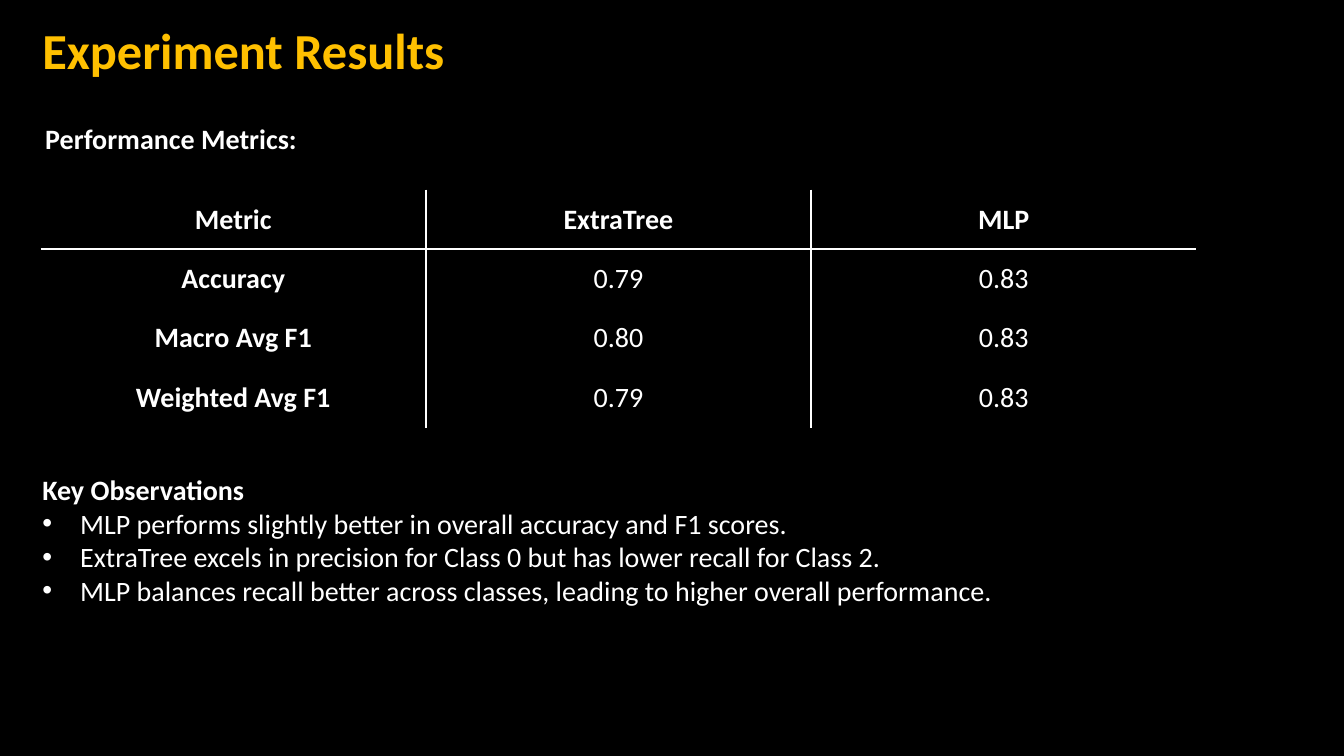
from lxml.etree import SubElement
from pptx import Presentation
from pptx.dml.color import RGBColor
from pptx.enum.text import MSO_ANCHOR as Anchor, MSO_AUTO_SIZE as AutoSize, PP_ALIGN as Align
from pptx.oxml.ns import qn
from pptx.util import Pt

BLACK, WHITE, GOLD = "000000", "FFFFFF", "FFC000"
METRICS = [
    ["Metric", "ExtraTree", "MLP"],
    ["Accuracy", "0.79", "0.83"],
    ["Macro Avg F1", "0.80", "0.83"],
    ["Weighted Avg F1", "0.79", "0.83"],
]
OBSERVATIONS = [
    "MLP performs slightly better in overall accuracy and F1 scores.",
    "ExtraTree excels in precision for Class 0 but has lower recall for Class 2.",
    "MLP balances recall better across classes, leading to higher overall performance.",
]


def color(hex_value):
    """Turn a hex string into a color."""
    return RGBColor.from_string(hex_value)


def apply(target, values):
    """Set every attribute in a dict of format values."""
    for name, value in values.items():
        setattr(target, name, value)


def place(shape, box):
    """Move a shape to a box of left, top, width and height in points."""
    apply(shape, dict(zip(("left", "top", "width", "height"), map(Pt, box))))


def write(para, text, size=20, bold=True, fill=WHITE, align=Align.LEFT):
    """Write one formatted span into a paragraph."""
    apply(para, {"alignment": align, "space_before": Pt(0), "space_after": Pt(0)})
    span = para.add_run()
    span.text = text
    apply(span.font, {"name": "Calibri", "size": Pt(size), "bold": bold})
    span.font.color.rgb = color(fill)


def set_bullet(para, indent=0):
    """Give a paragraph a hanging bullet, or none when the indent is zero."""
    props = para._p.get_or_add_pPr()
    props.set("marL", str(Pt(indent)))
    props.set("indent", str(-Pt(indent)))
    if indent:
        SubElement(props, qn("a:buFont"), typeface="Arial")
        SubElement(props, qn("a:buChar"), char="•")
    else:
        SubElement(props, qn("a:buNone"))


def set_borders(cell, visible):
    """Draw the visible edges of a cell and clear the others."""
    props = cell._tc.get_or_add_tcPr()
    for edge in "LRTB":
        line = SubElement(props, qn(f"a:ln{edge}"), w=str(Pt(1.5)))
        if edge in visible:
            paint = SubElement(line, qn("a:solidFill"))
            SubElement(paint, qn("a:srgbClr"), val=WHITE)
        else:
            SubElement(line, qn("a:noFill"))


def add_title(page, box):
    """Fill the title placeholder."""
    title = page.shapes.title
    place(title, box)
    apply(title.text_frame, {"vertical_anchor": Anchor.MIDDLE, "auto_size": AutoSize.NONE})
    write(title.text_frame.paragraphs[0], "Experiment Results", 36, fill=GOLD)


def add_subtitle(page, box):
    """Add the label above the table."""
    label = page.shapes.add_textbox(*map(Pt, box))
    label.text_frame.word_wrap = True
    write(label.text_frame.paragraphs[0], "Performance Metrics:")


def add_metrics(page, box):
    """Add the table with rules between columns and below the header."""
    rows, columns = len(METRICS), len(METRICS[0])
    table = page.shapes.add_table(rows, columns, *map(Pt, box)).table
    apply(table, {"first_row": False, "horz_banding": False})
    margins = dict.fromkeys(("margin_left", "margin_right", "margin_top", "margin_bottom"), 0)
    for r, values in enumerate(METRICS):
        for c, value in enumerate(values):
            cell = table.cell(r, c)
            apply(cell, {"vertical_anchor": Anchor.MIDDLE, **margins})
            edges = {"L": c > 0, "R": c < columns - 1, "T": r == 1, "B": r == 0}
            set_borders(cell, [edge for edge, shown in edges.items() if shown])
            cell.fill.background()
            write(cell.text_frame.paragraphs[0], value, bold=r == 0 or c == 0, align=Align.CENTER)


def add_observations(page, box):
    """Fill the body placeholder with a heading and bullets."""
    body = page.placeholders[1]
    place(body, box)
    frame = body.text_frame
    apply(frame, {"vertical_anchor": Anchor.TOP, "auto_size": AutoSize.NONE})
    heading = frame.paragraphs[0]
    write(heading, "Key Observations")
    set_bullet(heading)
    for text in OBSERVATIONS:
        para = frame.add_paragraph()
        write(para, text, bold=False)
        set_bullet(para, 27)


def main():
    """Build and save the deck."""
    deck = Presentation()
    apply(deck, {"slide_width": Pt(960), "slide_height": Pt(540)})
    page = deck.slides.add_slide(deck.slide_layouts[1])
    page.background.fill.solid()
    page.background.fill.fore_color.rgb = color(BLACK)
    add_title(page, (23, -10, 909, 90))
    add_subtitle(page, (25.2, 83.5, 400, 31.5))
    add_metrics(page, (29, 135.5, 825.6, 170))
    add_observations(page, (23, 334, 712, 104.5))
    deck.save("out.pptx")


if __name__ == "__main__":
    main()
